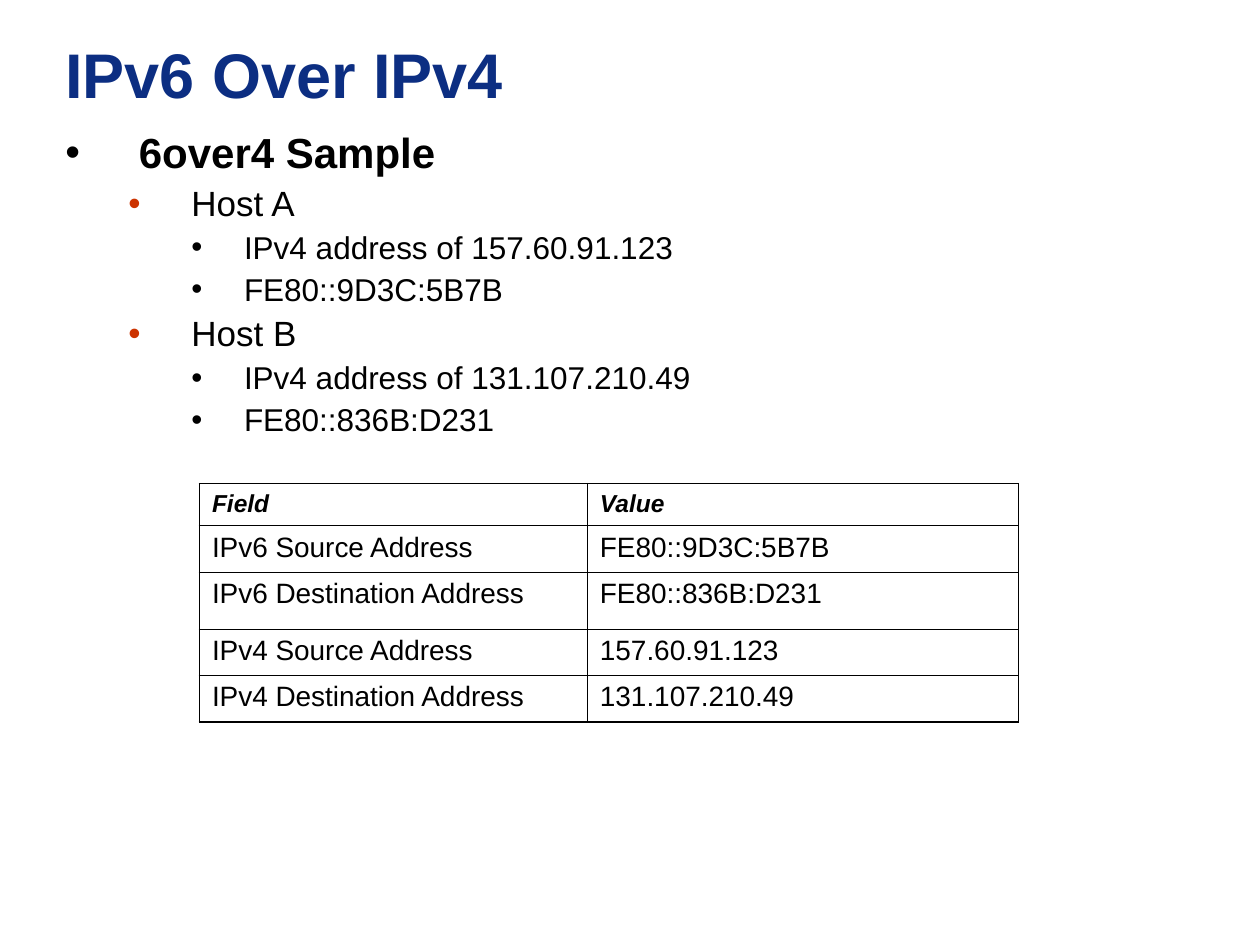
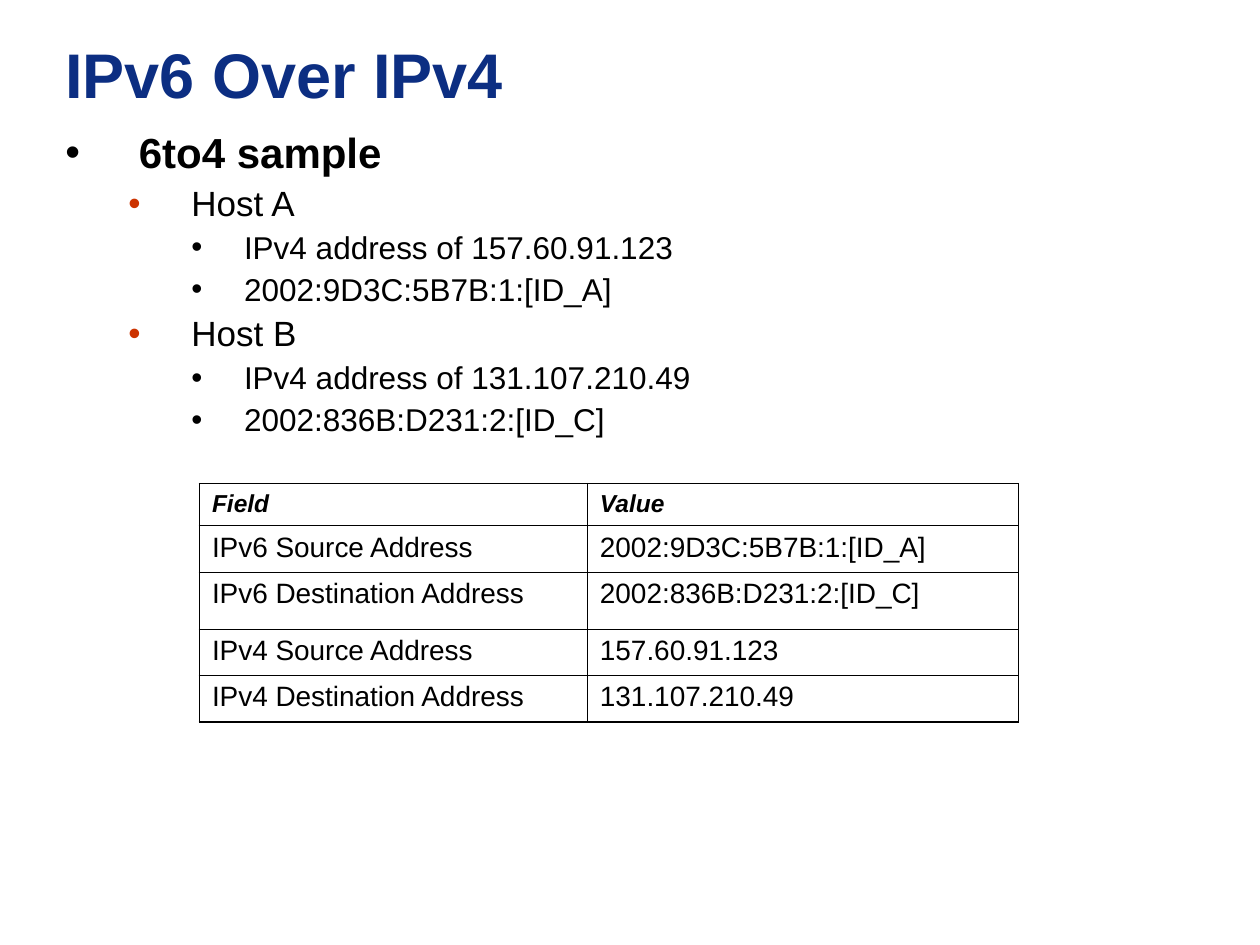
"""Build two slides comparing 6over4 and 6to4 addressing samples."""
from lxml.etree import SubElement
from pptx import Presentation
from pptx.dml.color import RGBColor
from pptx.enum.text import MSO_ANCHOR
from pptx.oxml import parse_xml
from pptx.oxml.ns import nsdecls, qn
from pptx.util import Cm, Pt

NAVY = RGBColor(0x0C, 0x2E, 0x82)
BLACK = RGBColor(0x00, 0x00, 0x00)
RUST = RGBColor(0xCC, 0x33, 0x00)
FONT = "Arial"
LEFT = Cm(1.07)
OUTER_LINE, INNER_LINE = Pt(1.08), Pt(0.45)
IPV4_A, IPV4_B = "157.60.91.123", "131.107.210.49"

SAMPLES = [
    ("6over4 Sample", "FE80::9D3C:5B7B", "FE80::836B:D231"),
    ("6to4 sample", "2002:9D3C:5B7B:1:[ID_A]", "2002:836B:D231:2:[ID_C]"),
]
# Per outline level: indent, hanging, size, space before, bullet colour
LEVELS = [
    (Cm(1.48), Cm(1.48), 24, 6, BLACK),
    (Cm(2.54), Cm(1.27), 20, 5, RUST),
    (Cm(3.6), Cm(1.06), 18, 4.5, BLACK),
]
COLUMN_WIDTHS = [Cm(7.82), Cm(8.69)]
ROW_HEIGHTS = [Cm(0.84), Cm(0.94), Cm(1.14), Cm(0.94), Cm(0.94)]


def style_text(paragraph, size, color=BLACK, bold=False, italic=False):
    font = paragraph.font
    font.name, font.size, font.bold, font.italic = FONT, Pt(size), bold, italic
    font.color.rgb = color


def add_border(cell, position, side, width):
    cell._tc.get_or_add_tcPr().insert(position, parse_xml(
        f'<a:ln{side} {nsdecls("a")} w="{width}"><a:solidFill>'
        f'<a:srgbClr val="{BLACK}"/></a:solidFill></a:ln{side}>'))


deck = Presentation()
deck.slide_width, deck.slide_height = Cm(25.4), Cm(19.05)

for sample, ipv6_a, ipv6_b in SAMPLES:
    slide = deck.slides.add_slide(deck.slide_layouts[6])

    title = slide.shapes.add_textbox(LEFT, 0, Cm(22.43), Cm(2.96)).text_frame
    title.word_wrap = True
    title.vertical_anchor = MSO_ANCHOR.MIDDLE
    title.text = "IPv6 Over IPv4"
    style_text(title.paragraphs[0], 36, NAVY, bold=True)

    outline = [(0, sample)]
    for host, ipv4, ipv6 in [("A", IPV4_A, ipv6_a), ("B", IPV4_B, ipv6_b)]:
        outline += [(1, f"Host {host}"), (2, f"IPv4 address of {ipv4}"), (2, ipv6)]

    body = slide.shapes.add_textbox(LEFT, Cm(2.54), Cm(23.5), Cm(13.97)).text_frame
    body.word_wrap = True
    body.text = "\n".join(line for _, line in outline)
    for paragraph, (level, _) in zip(body.paragraphs, outline):
        indent, hanging, size, space_before, bullet_color = LEVELS[level]
        paragraph.level = level
        paragraph.line_spacing = 0.9
        paragraph.space_before = Pt(space_before)
        properties = paragraph._p.get_or_add_pPr()
        properties.set("marL", str(indent))
        properties.set("indent", str(-hanging))
        bullet_fill = SubElement(properties, qn("a:buClr"))
        SubElement(bullet_fill, qn("a:srgbClr"), val=str(bullet_color))
        SubElement(properties, qn("a:buFont"), typeface=FONT)
        SubElement(properties, qn("a:buChar"), char="•")
        style_text(paragraph, size, bold=level == 0)

    fields = [
        ("Field", "Value"),
        ("IPv6 Source Address", ipv6_a),
        ("IPv6 Destination Address", ipv6_b),
        ("IPv4 Source Address", IPV4_A),
        ("IPv4 Destination Address", IPV4_B),
    ]
    last_row, last_column = len(fields) - 1, len(COLUMN_WIDTHS) - 1
    header = slide.shapes.add_table(
        len(fields), len(COLUMN_WIDTHS), Cm(4.02), Cm(9.75),
        sum(COLUMN_WIDTHS), sum(ROW_HEIGHTS)).table
    header.first_row = header.horz_banding = False
    for column, width in zip(header.columns, COLUMN_WIDTHS):
        column.width = width
    for row, height in zip(header.rows, ROW_HEIGHTS):
        row.height = height

    for r, entries in enumerate(fields):
        for c, entry in enumerate(entries):
            cell = header.cell(r, c)
            cell.text = entry
            cell.fill.background()
            paragraph = cell.text_frame.paragraphs[0]
            paragraph.space_before = Pt(4 if r else 3.5)
            style_text(paragraph, 16 if r else 14, bold=r == 0, italic=r == 0)
            edges = [("L", c == 0), ("R", c == last_column),
                     ("T", r == 0), ("B", r == last_row)]
            for position, (side, is_outer) in enumerate(edges):
                add_border(cell, position, side, OUTER_LINE if is_outer else INNER_LINE)

deck.save("out.pptx")
